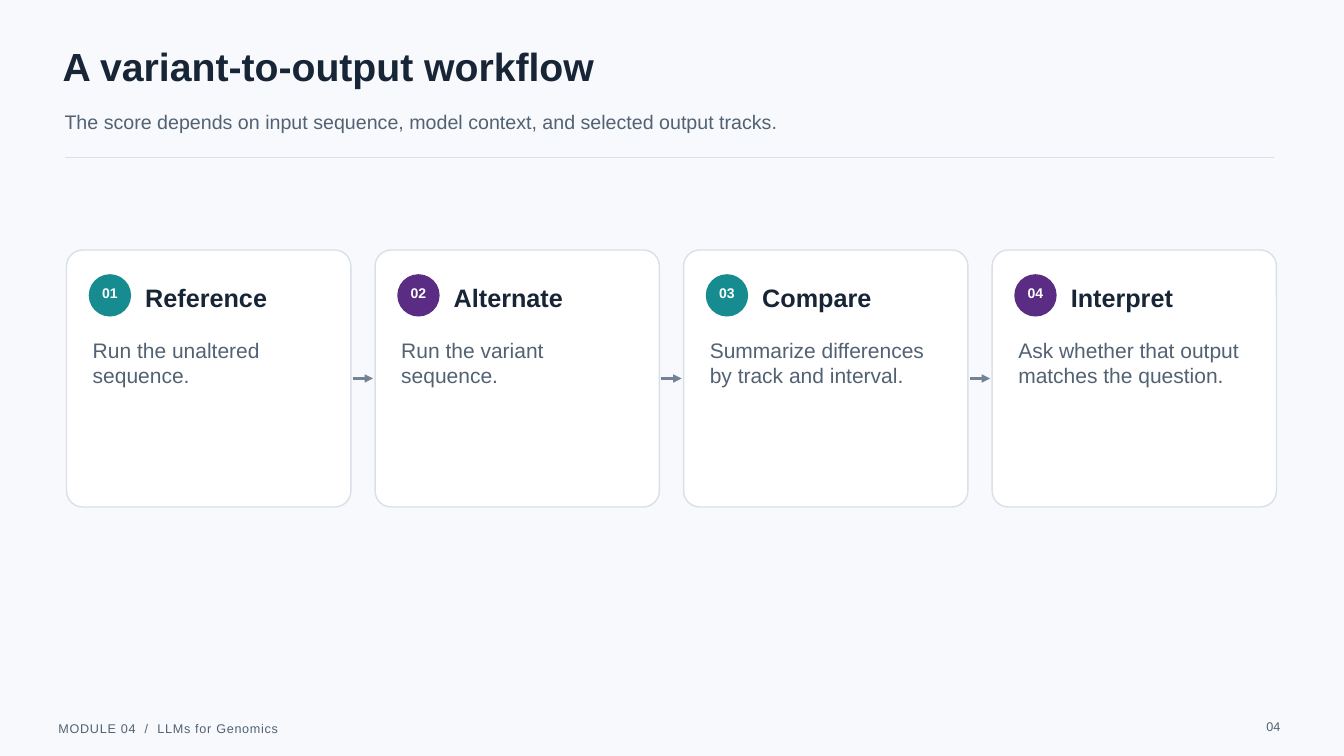
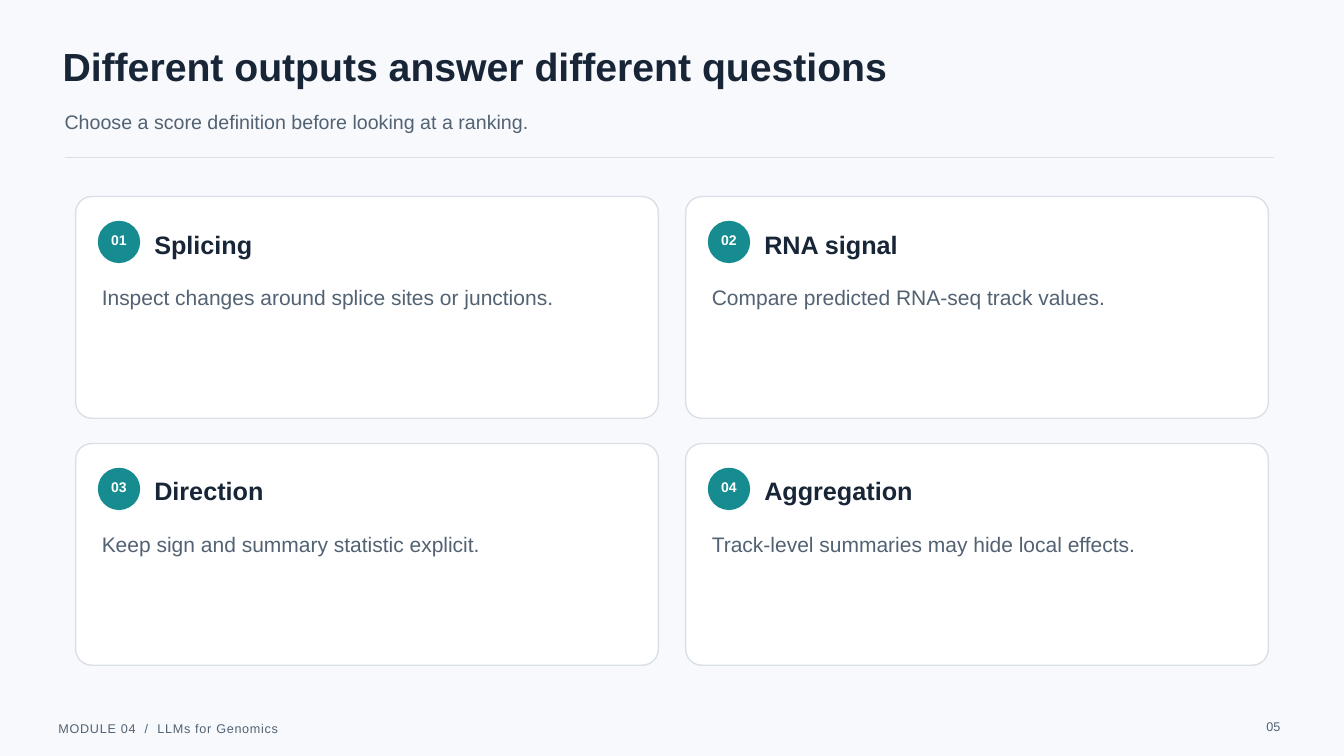
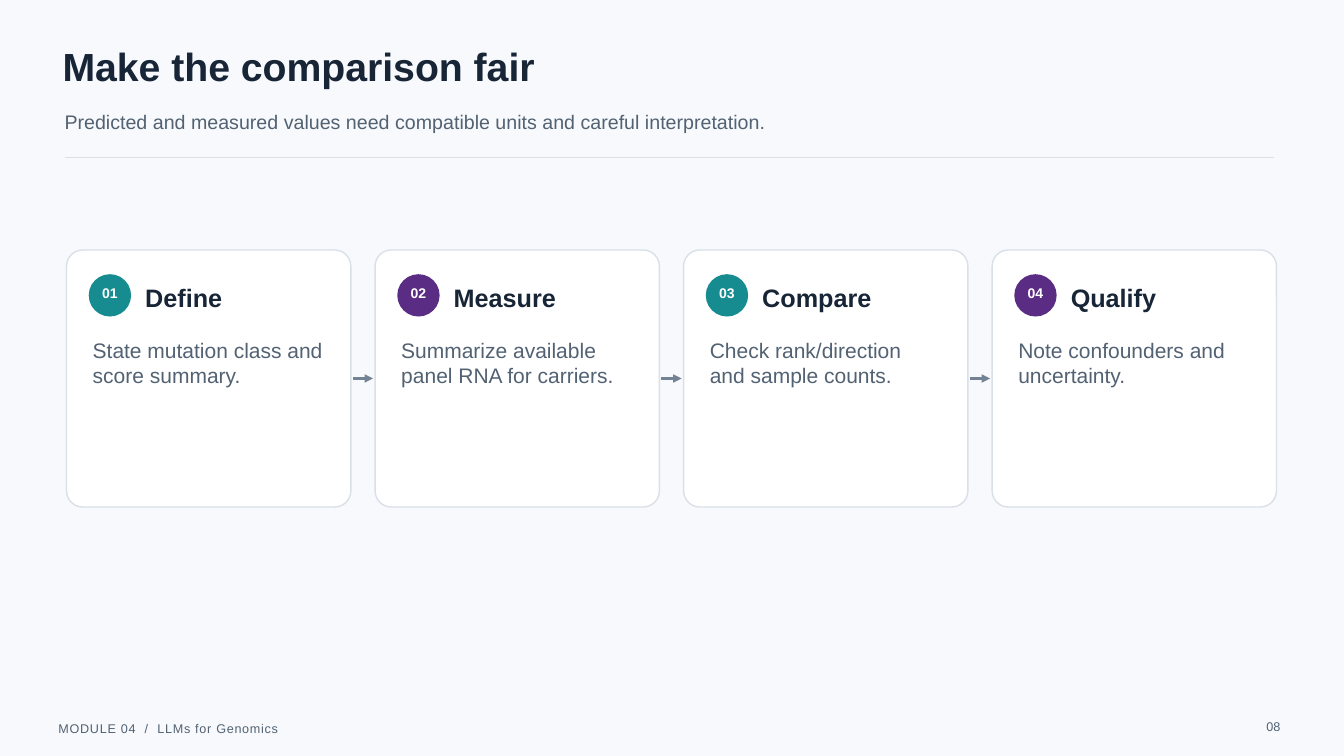
from lxml import etree
from pptx import Presentation
from pptx.dml.color import RGBColor
from pptx.enum.shapes import MSO_CONNECTOR, MSO_SHAPE
from pptx.enum.text import MSO_ANCHOR, MSO_AUTO_SIZE, PP_ALIGN
from pptx.oxml.ns import qn
from pptx.util import Inches, Pt

WIDTH, HEIGHT = 13.33, 7.5
FONT = "Arial"
FOOTER = "MODULE 04  /  LLMs for Genomics"
COLORS = {
    "paper": "F7F9FC",
    "ink": "172536",
    "muted": "526273",
    "rule": "D9E0E8",
    "arrow": "748295",
    "teal": "168C91",
    "purple": "5B2C83",
    "white": "FFFFFF",
}
STEPS = {"left": 0.66, "top": 2.48, "width": 2.82, "height": 2.55,
         "column_gap": 0.24, "row_gap": 0, "columns": 4,
         "badges": ["teal", "purple"], "arrows": True}
PANELS = {"left": 0.75, "top": 1.95, "width": 5.78, "height": 2.2,
          "column_gap": 0.27, "row_gap": 0.25, "columns": 2,
          "badges": ["teal"], "arrows": False}
CARD_RADIUS = 0.16
BADGE_SIZE = 0.42

SLIDES = [
    ("A variant-to-output workflow",
     "The score depends on input sequence, model context, and selected output tracks.",
     "04", STEPS, [
         ("Reference", "Run the unaltered sequence."),
         ("Alternate", "Run the variant sequence."),
         ("Compare", "Summarize differences by track and interval."),
         ("Interpret", "Ask whether that output matches the question."),
     ]),
    ("Different outputs answer different questions",
     "Choose a score definition before looking at a ranking.",
     "05", PANELS, [
         ("Splicing", "Inspect changes around splice sites or junctions."),
         ("RNA signal", "Compare predicted RNA-seq track values."),
         ("Direction", "Keep sign and summary statistic explicit."),
         ("Aggregation", "Track-level summaries may hide local effects."),
     ]),
    ("Make the comparison fair",
     "Predicted and measured values need compatible units and careful interpretation.",
     "08", STEPS, [
         ("Define", "State mutation class and score summary."),
         ("Measure", "Summarize available panel RNA for carriers."),
         ("Compare", "Check rank/direction and sample counts."),
         ("Qualify", "Note confounders and uncertainty."),
     ]),
]


def color(name):
    return RGBColor.from_string(COLORS[name])


def box(*lengths):
    return [Inches(length) for length in lengths]


def write(shape, text, size, ink, bold=False, align=PP_ALIGN.LEFT,
          anchor=MSO_ANCHOR.MIDDLE, spacing=None):
    frame = shape.text_frame
    frame.word_wrap = True
    frame.auto_size = MSO_AUTO_SIZE.NONE
    frame.vertical_anchor = anchor
    frame.margin_left = frame.margin_right = frame.margin_top = frame.margin_bottom = 0
    paragraph = frame.paragraphs[0]
    paragraph.alignment = align
    run = paragraph.add_run()
    run.text = text
    run.font.name = FONT
    run.font.size = Pt(size)
    run.font.bold = bold
    run.font.color.rgb = color(ink)
    if spacing:
        run.font._element.set("spc", str(int(spacing * 100)))


def add_text(slide, place, text, size, ink, **style):
    write(slide.shapes.add_textbox(*box(*place)), text, size, ink, **style)


def add_filled(slide, preset, place, fill, outline=None):
    shape = slide.shapes.add_shape(preset, *box(*place))
    shape.shadow.inherit = False
    shape.fill.solid()
    shape.fill.fore_color.rgb = color(fill)
    if outline:
        shape.line.color.rgb = color(outline)
        shape.line.width = Pt(1)
    else:
        shape.line.fill.background()
    return shape


def add_line(slide, start, end, y, ink, weight, arrow=False):
    line = slide.shapes.add_connector(MSO_CONNECTOR.STRAIGHT, *box(start, y, end, y))
    line.line.color.rgb = color(ink)
    line.line.width = Pt(weight)
    if arrow:
        etree.SubElement(line.line._get_or_add_ln(), qn("a:tailEnd"), type="triangle")
    etree.SubElement(line._element.spPr, qn("a:effectLst"))


def add_card(slide, left, top, width, height, number, badge_fill, heading, body):
    card = add_filled(slide, MSO_SHAPE.ROUNDED_RECTANGLE,
                      (left, top, width, height), "white", "rule")
    card.adjustments[0] = CARD_RADIUS / min(width, height)
    badge = add_filled(slide, MSO_SHAPE.OVAL,
                       (left + 0.22, top + 0.24, BADGE_SIZE, BADGE_SIZE), badge_fill)
    write(badge, f"{number:02d}", 10, "white", bold=True, align=PP_ALIGN.CENTER)
    badge.text_frame.margin_bottom = Inches(0.04)
    add_text(slide, (left + 0.78, top + 0.21, width - 1, 0.52),
             heading, 18, "ink", bold=True)
    add_text(slide, (left + 0.26, top + 0.87, width - 0.52, height - 1.05),
             body, 15, "muted", anchor=MSO_ANCHOR.TOP)


def add_cards(slide, grid, cards):
    width, height, gap = grid["width"], grid["height"], grid["column_gap"]
    for index, (heading, body) in enumerate(cards):
        row, column = divmod(index, grid["columns"])
        left = grid["left"] + column * (width + gap)
        top = grid["top"] + row * (height + grid["row_gap"])
        if grid["arrows"] and column:
            add_line(slide, left - gap + 0.02, left - 0.02, top + height / 2,
                     "arrow", 2, arrow=True)
        badge_fill = grid["badges"][index % len(grid["badges"])]
        add_card(slide, left, top, width, height, index + 1, badge_fill, heading, body)


def add_frame(slide, title, subtitle, page):
    write(slide.shapes.title, title, 28, "ink", bold=True)
    add_text(slide, (0.64, 1, 11.9, 0.42), subtitle, 14, "muted")
    add_line(slide, 0.64, 12.64, 1.56, "rule", 1)
    add_text(slide, (0.58, 7.13, 10.8, 0.2), FOOTER, 9, "muted", spacing=0.5)
    add_text(slide, (12.2, 7.11, 0.5, 0.2), page, 9, "muted", align=PP_ALIGN.RIGHT)


def prepare_layout(deck):
    deck.slide_width, deck.slide_height = box(WIDTH, HEIGHT)
    background = deck.slide_master.background.fill
    background.solid()
    background.fore_color.rgb = color("paper")
    layout = deck.slide_layouts.get_by_name("Title Only")
    title = layout.placeholders[0]
    title.left, title.top, title.width, title.height = box(0.62, 0.38, 12, 0.55)
    return layout


def main():
    deck = Presentation()
    layout = prepare_layout(deck)
    for title, subtitle, page, grid, cards in SLIDES:
        slide = deck.slides.add_slide(layout)
        add_frame(slide, title, subtitle, page)
        add_cards(slide, grid, cards)
    deck.save("out.pptx")


main()
